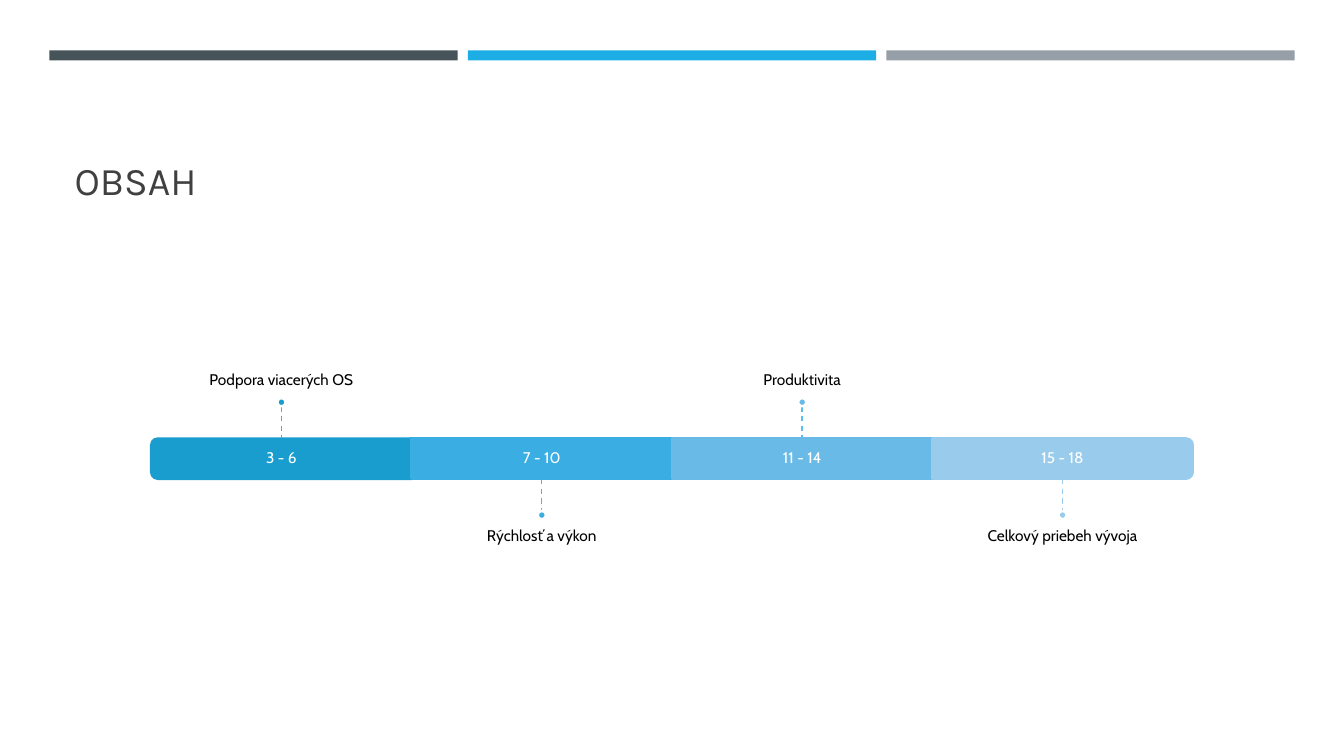
from dataclasses import dataclass

from lxml import etree
from pptx import Presentation
from pptx.dml.color import RGBColor
from pptx.enum import dml, shapes, text
from pptx.oxml import ns
from pptx.util import Inches, Pt


@dataclass(frozen=True)
class Theme:
    title_font: str = "Karla"
    body_font: str = "Cabin"
    title_size: float = 28
    body_size: float = 11
    title: str = "404040"
    body: str = "000000"
    white: str = "FFFFFF"
    stripes: tuple[str, ...] = ("465359", "1CADE4", "969FA7")
    outline: float = 1.75
    leader: float = 1


@dataclass(frozen=True)
class Stage:
    pages: str
    topic: str
    color: str
    leader_color: str


THEME = Theme()
STAGES = [
    Stage("3 - 6", "Podpora viacerých OS", "199DCF", "36B3E9"),
    Stage("7 - 10", "Rýchlosť a výkon", "3AADE3", "48B8EC"),
    Stage("11 - 14", "Produktivita", "6ABAE7", "5ABEEF"),
    Stage("15 - 18", "Celkový priebeh vývoja", "99CBEC", "98CBEC"),
]

# Timeline geometry in inches
BAR_LEFT, BAR_TOP, BAR_WIDTH, BAR_HEIGHT = 1.5, 4.35, 10.33, 0.4
STEP = BAR_WIDTH / len(STAGES)
LEADER, DOT = 0.32, 0.08
TOPIC_WIDTH, TOPIC_HEIGHT = 4.31, 1.39
INSET = 0.09


def write(tf, content: str, *, font: str, size: float, color: str,
          align=text.PP_ALIGN.CENTER, anchor=text.MSO_ANCHOR.MIDDLE,
          insets=(INSET,) * 4, line_spacing: float = 0.9) -> None:
    tf.word_wrap = True
    tf.auto_size = text.MSO_AUTO_SIZE.NONE
    tf.vertical_anchor = anchor
    tf.margin_left, tf.margin_top, tf.margin_right, tf.margin_bottom = map(Inches, insets)
    p = tf.paragraphs[0]
    p.alignment = align
    p.line_spacing = line_spacing
    r = p.add_run()
    r.text = content
    r.font.name = font
    r.font.size = Pt(size)
    r.font.color.rgb = RGBColor.from_string(color)


def add_box(s, kind, box, fill: str, line: str | None = None, rotation: float = 0) -> None:
    sp = s.shapes.add_shape(kind, *map(Inches, box))
    sp.shadow.inherit = False
    sp.rotation = rotation
    sp.fill.solid()
    sp.fill.fore_color.rgb = RGBColor.from_string(fill)
    if line:
        sp.line.color.rgb = RGBColor.from_string(line)
        sp.line.width = Pt(THEME.outline)
    else:
        sp.line.fill.background()


def add_label(s, content: str, box, color: str, **kwargs) -> None:
    sp = s.shapes.add_textbox(*map(Inches, box))
    write(sp.text_frame, content, font=THEME.body_font, size=THEME.body_size,
          color=color, **kwargs)


def add_leader(s, x: float, top: float, bottom: float, color: str) -> None:
    line = s.shapes.add_connector(shapes.MSO_CONNECTOR.STRAIGHT,
                                  *map(Inches, (x, top, x, bottom)))
    line.line.color.rgb = RGBColor.from_string(color)
    line.line.width = Pt(THEME.leader)
    line.line.dash_style = dml.MSO_LINE.DASH
    etree.SubElement(line._element.spPr, ns.qn("a:effectLst"))


def add_stage(s, index: int, stage: Stage) -> None:
    left = BAR_LEFT + index * STEP
    center = left + STEP / 2
    bar = (left, BAR_TOP, STEP, BAR_HEIGHT)

    # Bar segment: the two ends are rounded shapes turned on their side
    if index in (0, len(STAGES) - 1):
        upright = (center - BAR_HEIGHT / 2, BAR_TOP + (BAR_HEIGHT - STEP) / 2,
                   BAR_HEIGHT, STEP)
        add_box(s, shapes.MSO_SHAPE.ROUND_2_SAME_RECTANGLE, upright, stage.color,
                stage.color, rotation=90 if index else 270)
    else:
        add_box(s, shapes.MSO_SHAPE.RECTANGLE, bar, stage.color, stage.color)
    add_label(s, stage.pages, bar, THEME.white)

    # Topic, leader and dot alternate above and below the bar
    topic_left = center - TOPIC_WIDTH / 2
    if index % 2 == 0:
        start, end = BAR_TOP - LEADER, BAR_TOP
        dot_top = start - DOT
        topic_top = dot_top - TOPIC_HEIGHT
        anchor, insets = text.MSO_ANCHOR.BOTTOM, (0, 0, 0, INSET)
    else:
        start = BAR_TOP + BAR_HEIGHT
        end = dot_top = start + LEADER
        topic_top = dot_top + DOT
        anchor, insets = text.MSO_ANCHOR.TOP, (0, INSET, 0, 0)
    add_label(s, stage.topic, (topic_left, topic_top, TOPIC_WIDTH, TOPIC_HEIGHT),
              THEME.body, anchor=anchor, insets=insets)
    add_leader(s, center, start, end, stage.leader_color)
    add_box(s, shapes.MSO_SHAPE.OVAL, (center - DOT / 2, dot_top, DOT, DOT),
            stage.color, THEME.white)


def main() -> None:
    prs = Presentation()
    prs.slide_width, prs.slide_height = Inches(13.33), Inches(7.5)
    s = prs.slides.add_slide(prs.slide_layouts[5])

    # Header stripes
    for i, color in enumerate(THEME.stripes):
        add_box(s, shapes.MSO_SHAPE.RECTANGLE, (0.49 + i * 4.15, 0.5, 4.05, 0.1), color)

    # Title
    title = s.shapes.title
    title.left, title.top, title.width, title.height = map(Inches, (0.64, 0.77, 12.06, 1.3))
    write(title.text_frame, "OBSAH", font=THEME.title_font, size=THEME.title_size,
          color=THEME.title, align=text.PP_ALIGN.LEFT, anchor=text.MSO_ANCHOR.BOTTOM,
          insets=(0.1, 0.05, 0.1, 0.05), line_spacing=1.0)

    # Timeline
    for i, stage in enumerate(STAGES):
        add_stage(s, i, stage)

    prs.save("out.pptx")


if __name__ == "__main__":
    main()
